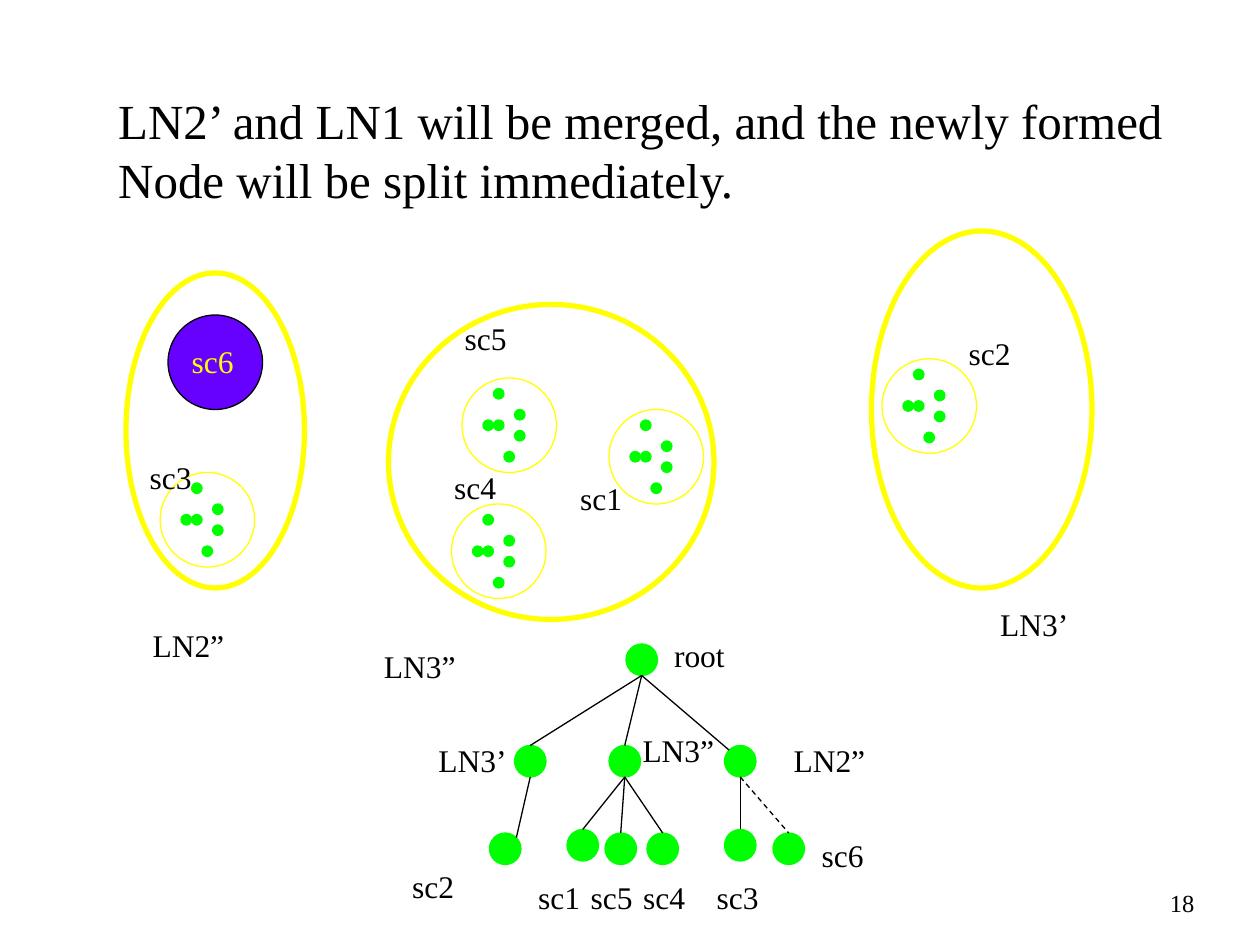
"""Build the slide showing leaf node merging and splitting with its cluster tree."""
from dataclasses import dataclass

from lxml import etree
from pptx import Presentation
from pptx.dml.color import RGBColor
from pptx.enum.dml import MSO_LINE
from pptx.enum.shapes import MSO_CONNECTOR, MSO_SHAPE
from pptx.enum.text import MSO_ANCHOR, MSO_AUTO_SIZE, PP_ALIGN
from pptx.oxml.ns import qn
from pptx.util import Pt

OVAL = MSO_SHAPE.OVAL
STRAIGHT = MSO_CONNECTOR.STRAIGHT
DASH = MSO_LINE.DASH
TOP, MIDDLE = MSO_ANCHOR.TOP, MSO_ANCHOR.MIDDLE
LEFT, CENTER, RIGHT = PP_ALIGN.LEFT, PP_ALIGN.CENTER, PP_ALIGN.RIGHT
GROW, FIXED = MSO_AUTO_SIZE.SHAPE_TO_FIT_TEXT, MSO_AUTO_SIZE.NONE


@dataclass(frozen=True)
class Theme:
    """Colours, type sizes and line widths."""

    font: str = "Times New Roman"
    black: RGBColor = RGBColor(0, 0, 0)
    yellow: RGBColor = RGBColor(255, 255, 0)
    green: RGBColor = RGBColor(0, 255, 0)
    violet: RGBColor = RGBColor(102, 0, 255)
    title_size: int = 28
    label_size: int = 18
    number_size: int = 14
    thin: float = 0.75
    thick: float = 3


THEME = Theme()
CLUSTER_SIZE, DOT_SIZE, NODE_SIZE, LABEL_HEIGHT = 54, 6, 18, 29
LABEL_WIDTHS = {"root": 44, "LN3’": 54, "LN3”": 56, "LN2”": 56}
SHORT_LABEL_WIDTH = 39
DOT_OFFSETS = [(30, 18), (30, 30), (12, 24), (24, 42), (18, 24), (18, 6)]
CLUSTERS = [(91.5, 270), (258, 288), (264, 216), (348, 234), (504, 205)]
LEAF_NODES = [(72, 156, 102, 180), (498, 132, 126, 204), (222, 174, 186, 180)]
TREE_NODES = {
    "root": (357.7, 368),
    "LN3’": (294, 426), "LN3”": (348, 426), "LN2”": (414, 426),
    "sc2": (279.7, 476), "sc1": (324, 474), "sc5": (345.7, 476),
    "sc4": (369.7, 476), "sc3": (414, 474), "sc6": (441.7, 476),
}
TREE_EDGES = [
    ("root", "LN3’", "top"), ("root", "LN3”", "top"), ("root", "LN2”", "top left"),
    ("LN3’", "sc2", "top right"), ("LN3”", "sc1", "top"), ("LN3”", "sc5", "top"),
    ("LN3”", "sc4", "top"), ("LN2”", "sc3", "top"), ("LN2”", "sc6", "top"),
]
NODE_SIDES = {"top": (9, 0), "top left": (2.64, 2.64), "top right": (15.36, 2.64)}
LABELS = [
    ("root", 377.7, 360), ("LN2”", 79.7, 354), ("LN3’", 564, 342),
    ("LN3”", 359.7, 414), ("sc3", 78, 258), ("sc4", 252, 264),
    ("sc5", 258, 178.7), ("sc2", 546, 187.3), ("sc1", 300, 498),
    ("sc2", 228, 492), ("sc3", 402, 498), ("sc4", 360, 498),
    ("sc5", 330, 498), ("sc6", 462, 474), ("LN3’", 243, 420),
    ("sc1", 324, 270), ("LN3”", 211.9, 366), ("LN2”", 446, 420),
]


class SlideBuilder:
    """Hold the theme and current slide and draw each kind of element."""

    def __init__(self, slide, theme):
        """Keep the slide and its theme."""
        self.slide = slide
        self.theme = theme

    def apply(self, target, values):
        """Set each named attribute on the target."""
        for name, value in values.items():
            setattr(target, name, value)

    def ellipse(self, left, top, width, height, line, fill=None, weight=THEME.thin):
        """Draw an outlined ellipse, filled when a fill is given."""
        shape = self.slide.shapes.add_shape(OVAL, Pt(left), Pt(top), Pt(width), Pt(height))
        shape.shadow.inherit = False
        if fill is None:
            shape.fill.background()
        else:
            shape.fill.solid()
            shape.fill.fore_color.rgb = fill
        shape.line.color.rgb = line
        shape.line.width = Pt(weight)

    def cluster(self, left, top):
        """Draw a subcluster circle with its points."""
        self.ellipse(left, top, CLUSTER_SIZE, CLUSTER_SIZE, self.theme.yellow)
        for across, down in DOT_OFFSETS:
            self.node(left + across, top + down, DOT_SIZE)

    def node(self, left, top, size=NODE_SIZE):
        """Draw a solid green circle."""
        self.ellipse(left, top, size, size, self.theme.green, self.theme.green)

    def edge(self, parent, child, side, dashed=False):
        """Draw a line from the foot of a parent to a side of its child."""
        across, down = NODE_SIDES[side]
        connector = self.slide.shapes.add_connector(
            STRAIGHT, Pt(parent[0] + NODE_SIZE / 2), Pt(parent[1] + NODE_SIZE),
            Pt(child[0] + across), Pt(child[1] + down))
        connector.line.color.rgb = self.theme.black
        connector.line.width = Pt(self.theme.thin)
        if dashed:
            connector.line.dash_style = DASH
        etree.SubElement(connector._element.spPr, qn("a:effectLst"))

    def text(self, lines, box, size, alignment=LEFT, color=THEME.black,
             wrap=True, anchor=TOP, auto_size=GROW):
        """Write one paragraph per line in a text box."""
        shape = self.slide.shapes.add_textbox(*map(Pt, box))
        frame = shape.text_frame
        self.apply(frame, {"word_wrap": wrap, "vertical_anchor": anchor,
                           "auto_size": auto_size})
        frame.text = "\n".join(lines)
        for paragraph in frame.paragraphs:
            paragraph.alignment = alignment
            self.apply(paragraph.font, {"name": self.theme.font, "size": Pt(size)})
            paragraph.font.color.rgb = color

    def label(self, text, left, top, color=THEME.black):
        """Write a centred label on one line."""
        box = (left, top, LABEL_WIDTHS.get(text, SHORT_LABEL_WIDTH), LABEL_HEIGHT)
        self.text([text], box, self.theme.label_size, CENTER, color, wrap=False)


def main():
    """Build and save the presentation."""
    presentation = Presentation()
    presentation.slide_width, presentation.slide_height = Pt(720), Pt(540)
    slide = presentation.slides.add_slide(presentation.slide_layouts[6])
    builder = SlideBuilder(slide, THEME)

    builder.text(["LN2’ and LN1 will be merged, and the newly formed",
                  "Node will be split immediately."],
                 (60.5, 48.3, 620.5, 75), THEME.title_size)
    for box in LEAF_NODES:
        builder.ellipse(*box, THEME.yellow, weight=THEME.thick)
    builder.ellipse(96, 180, CLUSTER_SIZE, CLUSTER_SIZE, THEME.black, THEME.violet)
    for position in CLUSTERS:
        builder.cluster(*position)
    for position in TREE_NODES.values():
        builder.node(*position)
    for parent, child, side in TREE_EDGES:
        builder.edge(TREE_NODES[parent], TREE_NODES[child], side, child == "sc6")
    for label in LABELS:
        builder.label(*label)
    builder.label("sc6", 102, 192, THEME.yellow)
    builder.text(["18"], (539.7, 497.8, 150, 36), THEME.number_size, RIGHT,
                 anchor=MIDDLE, auto_size=FIXED)
    presentation.save("out.pptx")


if __name__ == "__main__":
    main()
